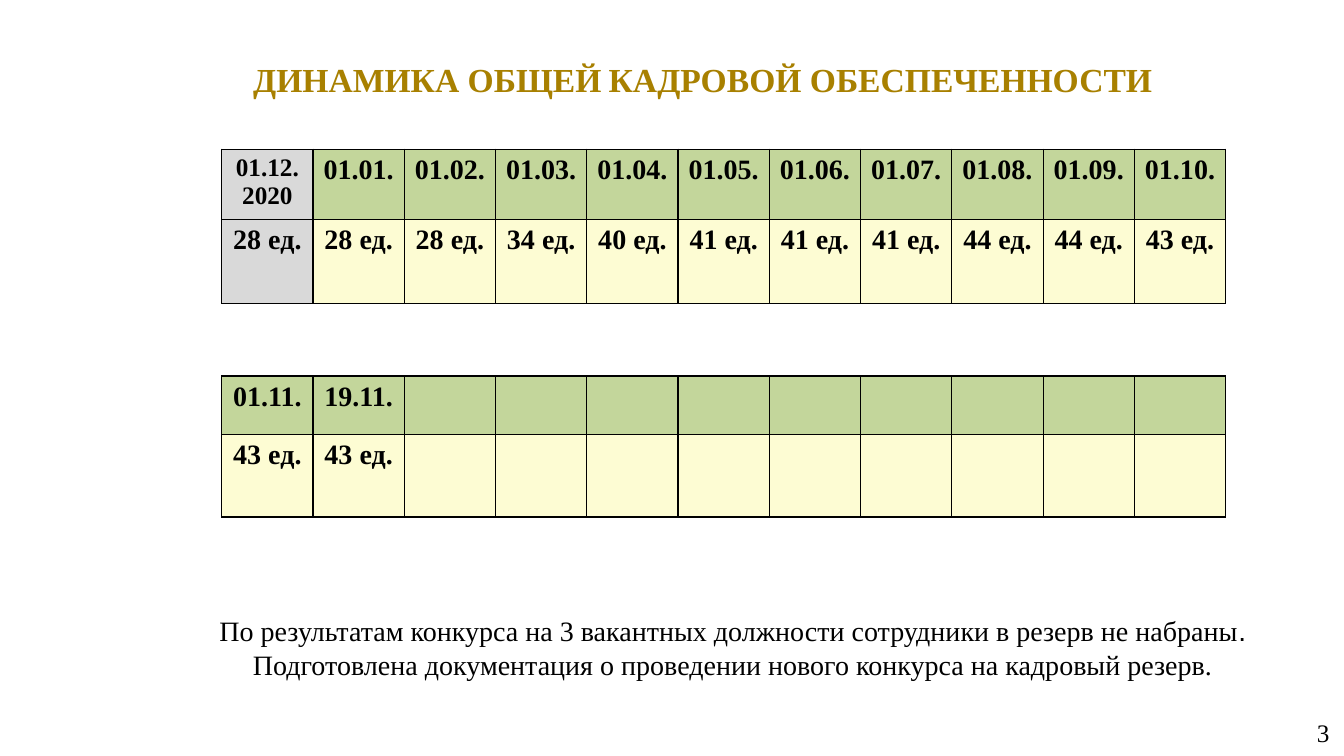
from dataclasses import dataclass

from lxml.etree import SubElement
from pptx import Presentation
from pptx.dml.color import RGBColor
from pptx.enum.text import MSO_ANCHOR, MSO_AUTO_SIZE, PP_ALIGN
from pptx.oxml.ns import qn
from pptx.slide import Slide
from pptx.table import _Cell
from pptx.text.text import TextFrame, _Paragraph
from pptx.util import Emu, Inches, Pt

GOLD = RGBColor(0xA8, 0x80, 0x00)
BLACK = RGBColor(0x00, 0x00, 0x00)
GREY = RGBColor(0xD9, 0xD9, 0xD9)
GREEN = RGBColor(0xC3, 0xD6, 0x9B)
CREAM = RGBColor(0xFD, 0xFC, 0xD3)

SERIF = "Times New Roman"
SLIDE_WIDTH, SLIDE_HEIGHT = Inches(13.33), Inches(7.5)
COLUMNS = 11
BORDER = Pt(0.96)


def across(percent: float) -> Emu:
    return Emu(round(SLIDE_WIDTH * percent / 100))


def down(percent: float) -> Emu:
    return Emu(round(SLIDE_HEIGHT * percent / 100))


@dataclass(frozen=True)
class Area:
    """A rectangle in percent of the slide's width and height."""
    left: float
    top: float
    width: float
    height: float

    def lengths(self) -> tuple[Emu, Emu, Emu, Emu]:
        return (across(self.left), down(self.top),
                across(self.width), down(self.height))


@dataclass(frozen=True)
class StaffTable:
    """Dates above staff counts; row heights in percent of the slide."""
    top: float
    row_heights: tuple[float, float]
    dates: list[str]
    counts: list[int]
    past_year_columns: int = 0


TITLE_AREA = Area(12.38, 6.8, 79.82, 7.07)
NOTE_AREA = Area(13.95, 80.53, 81.15, 10.8)
NUMBER_AREA = Area(76.65, 94.27, 23.25, 5.2)
TABLE_LEFT, TABLE_WIDTH = 16.5, 74.7

STAFF_TABLES = [
    StaffTable(19.73, (9.3, 11.1),
               ["01.12.2020"] + [f"01.{month:02}." for month in range(1, 11)],
               [28, 28, 28, 34, 40, 41, 41, 41, 44, 44, 43],
               past_year_columns=1),
    StaffTable(49.73, (7.73, 10.93), ["01.11.", "19.11."], [43, 43]),
]
NOTES = [
    "По результатам конкурса на 3 вакантных должности сотрудники в резерв не набраны",
    "Подготовлена документация о проведении нового конкурса на кадровый резерв.",
]


def place(box, area: Area) -> None:
    box.left, box.top, box.width, box.height = area.lengths()


def set_frame(frame: TextFrame, side: float, edge: float, anchor: MSO_ANCHOR) -> None:
    frame.word_wrap = True
    frame.auto_size = MSO_AUTO_SIZE.NONE
    frame.vertical_anchor = anchor
    frame.margin_left = frame.margin_right = Inches(side)
    frame.margin_top = frame.margin_bottom = Inches(edge)


def style(para: _Paragraph, size: int, color: RGBColor = BLACK, bold: bool = False,
          align: PP_ALIGN = PP_ALIGN.CENTER) -> None:
    para.alignment = align
    para.font.name = SERIF
    para.font.size = Pt(size)
    para.font.bold = bold
    para.font.color.rgb = color


def fill_cell(cell: _Cell, text: str, size: int, fill: RGBColor) -> None:
    properties = cell._tc.get_or_add_tcPr()
    for side in ("lnL", "lnR", "lnT", "lnB"):
        line = SubElement(properties, qn(f"a:{side}"), w=str(int(BORDER)))
        paint = SubElement(line, qn("a:solidFill"))
        SubElement(paint, qn("a:srgbClr"), val=str(BLACK))
    cell.fill.solid()
    cell.fill.fore_color.rgb = fill
    cell.text = text
    style(cell.text_frame.paragraphs[0], size, bold=True)


def add_staff_table(page: Slide, staff: StaffTable) -> None:
    area = Area(TABLE_LEFT, staff.top, TABLE_WIDTH, sum(staff.row_heights))
    table = page.shapes.add_table(2, COLUMNS, *area.lengths()).table
    table.first_row = table.horz_banding = False
    for row, height in zip(table.rows, staff.row_heights):
        row.height = down(height)
    for index, column in enumerate(table.columns):
        column.width = across(TABLE_WIDTH / COLUMNS)
        past = index < staff.past_year_columns
        filled = index < len(staff.dates)
        date = staff.dates[index] if filled else ""
        count = f"{staff.counts[index]} ед." if filled else ""
        fill_cell(table.cell(0, index), date, 18 if past else 20, GREY if past else GREEN)
        fill_cell(table.cell(1, index), count, 20, GREY if past else CREAM)


def add_title(page: Slide) -> None:
    title = page.shapes.title
    place(title, TITLE_AREA)
    set_frame(title.text_frame, 0.13, 0.07, MSO_ANCHOR.TOP)
    para = title.text_frame.paragraphs[0]
    para.text = "ДИНАМИКА ОБЩЕЙ"
    space = para.add_run()
    space.text = " "
    space.font.size = Pt(20)
    para.add_run().text = "КАДРОВОЙ ОБЕСПЕЧЕННОСТИ"
    style(para, 24, GOLD, bold=True)


def add_notes(page: Slide) -> None:
    body = page.placeholders[1]
    place(body, NOTE_AREA)
    frame = body.text_frame
    set_frame(frame, 0.1, 0.05, MSO_ANCHOR.TOP)
    frame.text = "\n".join(NOTES)
    for para in frame.paragraphs:
        properties = para._p.get_or_add_pPr()
        properties.set("marL", "0")
        properties.set("indent", "0")
        para.space_before = Pt(0)
        SubElement(properties, qn("a:buNone"))
        style(para, 20)
    full_stop = frame.paragraphs[0].add_run()
    full_stop.text = "."
    full_stop.font.name = "Arial"


def add_page_number(page: Slide) -> None:
    box = page.shapes.add_textbox(*NUMBER_AREA.lengths())
    set_frame(box.text_frame, 0.13, 0.07, MSO_ANCHOR.MIDDLE)
    para = box.text_frame.paragraphs[0]
    para.text = "3"
    style(para, 18, align=PP_ALIGN.RIGHT)


def main() -> None:
    deck = Presentation()
    deck.slide_width, deck.slide_height = SLIDE_WIDTH, SLIDE_HEIGHT
    page = deck.slides.add_slide(deck.slide_layouts[1])

    # Heading
    add_title(page)

    # Staff counts by date
    for staff in STAFF_TABLES:
        add_staff_table(page, staff)

    # Closing remarks and page number
    add_notes(page)
    add_page_number(page)

    deck.save("out.pptx")


if __name__ == "__main__":
    main()
